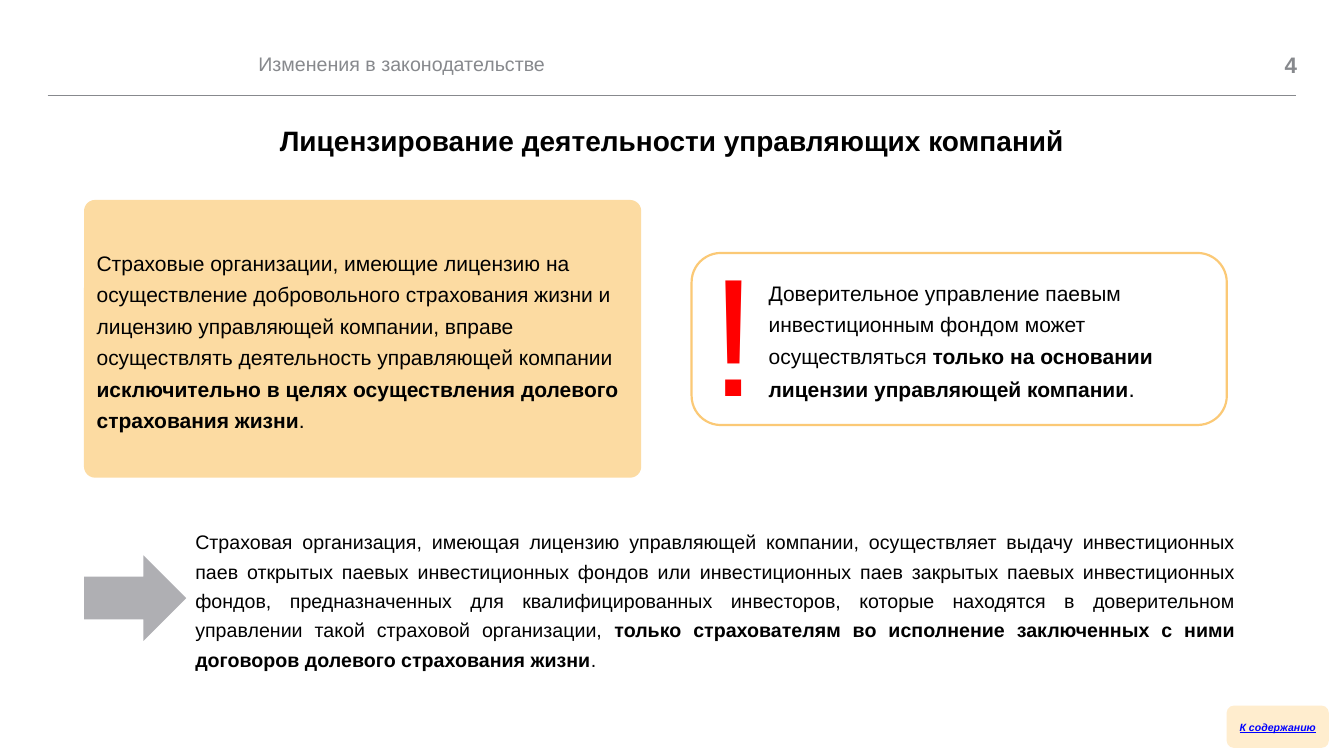
"""Build a slide on the licensing of management companies."""
import pptx
import pptx.util
import pptx.dml.color
import pptx.enum.shapes
import pptx.enum.text
import pptx.oxml.ns
import lxml.etree

Pt = pptx.util.Pt
ALIGN = pptx.enum.text.PP_ALIGN
ANCHOR = pptx.enum.text.MSO_ANCHOR
SHAPE = pptx.enum.shapes.MSO_SHAPE

COLORS = {
    "black": "000000", "gray": "87898D", "link": "0000FF", "red": "FF0000",
    "sand": "FCDBA2", "cream": "FFEDCE", "amber": "FBC976", "silver": "AFAFB3",
}
BOLD = {"bold": True}

TITLE = {
    "box": (190, 87.8, 580, 27),
    "runs": [("Лицензирование деятельности управляющих компаний", {})],
    "font": {"size": Pt(20), "bold": True},
    "paragraph": {"alignment": ALIGN.CENTER, "space_before": Pt(1)},
}
TEXTS = [
    {"box": (184.5, 36.7, 230, 19), "color": "gray",
     "runs": [("Изменения в законодательстве", {})],
     "font": {"size": Pt(14)}, "paragraph": {"space_before": Pt(1)}},
    {"box": (906, 36, 20.5, 21), "color": "gray",
     "runs": [("4", {})],
     "font": {"size": Pt(16), "bold": True},
     "paragraph": {"alignment": ALIGN.RIGHT, "space_before": Pt(1)}},
    {"box": (69, 173.5, 378, 132),
     "runs": [
         ("Страховые организации, имеющие лицензию на осуществление добровольного "
          "страхования жизни и лицензию управляющей компании, вправе осуществлять "
          "деятельность управляющей компании ", {}),
         ("исключительно в целях осуществления долевого страхования жизни", BOLD),
         (".", {})],
     "font": {"size": Pt(15)},
     "paragraph": {"line_spacing": 1.25, "space_before": Pt(1)}},
    {"box": (549, 195, 281, 90),
     "runs": [
         ("Доверительное управление паевым инвестиционным фондом может "
          "осуществляться ", {}),
         ("только на основании лицензии управляющей компании", BOLD),
         (".", {"size": Pt(16)})],
     "font": {"size": Pt(15)},
     "paragraph": {"line_spacing": 1.25, "space_before": Pt(1)}},
    {"box": (507.6, 162.7, 40, 146), "color": "red",
     "runs": [("!", {})],
     "font": {"size": Pt(120)}, "paragraph": {"space_before": Pt(1)}},
    {"box": (139.5, 373.7, 743, 103),
     "runs": [
         ("Страховая организация, имеющая лицензию управляющей компании, осуществляет "
          "выдачу инвестиционных паев открытых паевых инвестиционных фондов или "
          "инвестиционных паев закрытых паевых инвестиционных фондов, предназначенных "
          "для квалифицированных инвесторов, которые находятся в доверительном "
          "управлении такой страховой организации, ", {}),
         ("только страхователям во исполнение заключенных с ними договоров долевого "
          "страхования жизни", BOLD),
         (".", {})],
     "font": {"size": Pt(14)},
     "paragraph": {"alignment": ALIGN.JUSTIFY, "line_spacing": 1.25,
                   "space_before": Pt(1)}},
]
PANELS = [
    {"kind": SHAPE.ROUNDED_RECTANGLE, "box": (60, 142.8, 398, 198.4),
     "fill": "sand", "adjustments": [0.04]},
    {"kind": SHAPE.ROUNDED_RECTANGLE, "box": (494, 180.7, 382.3, 122.9),
     "line": "amber", "adjustments": [0.17]},
    {"kind": SHAPE.RIGHT_ARROW, "box": (60, 396.7, 73, 61),
     "fill": "silver", "adjustments": [0.5, 0.5]},
]
BUTTON = {"kind": SHAPE.ROUNDED_RECTANGLE, "box": (876.2, 504, 73, 30.2),
          "fill": "cream", "adjustments": [0.17]}
BUTTON_LABEL = {
    "color": "link", "anchor": ANCHOR.MIDDLE,
    "runs": [("К содержанию", {})],
    "font": {"size": Pt(7.5), "bold": True, "italic": True, "underline": True},
    "paragraph": {"alignment": ALIGN.CENTER},
}
RULE = (34, 926, 68.4)


def rgb(name):
    return pptx.dml.color.RGBColor.from_string(COLORS[name])


def set_attributes(target, values):
    for name, value in values.items():
        setattr(target, name, value)


def place(box):
    return [Pt(length) for length in box]


def write_text(shape, content):
    frame = shape.text_frame
    set_attributes(frame, {
        "word_wrap": True, "auto_size": pptx.enum.text.MSO_AUTO_SIZE.NONE,
        "vertical_anchor": content.get("anchor", ANCHOR.TOP),
        "margin_left": 0, "margin_right": 0, "margin_top": Pt(0.7), "margin_bottom": 0,
    })
    paragraph = frame.paragraphs[0]
    set_attributes(paragraph, {"alignment": ALIGN.LEFT, **content["paragraph"]})
    for text, changes in content["runs"]:
        run = paragraph.add_run()
        run.text = text
        set_attributes(run.font, {"name": "Arial", "bold": False,
                                  **content["font"], **changes})
        run.font.color.rgb = rgb(content.get("color", "black"))


def add_panel(slide, panel):
    shape = slide.shapes.add_shape(panel["kind"], *place(panel["box"]))
    shape.shadow.inherit = False
    for index, value in enumerate(panel["adjustments"]):
        shape.adjustments[index] = value
    if "fill" in panel:
        shape.fill.solid()
        shape.fill.fore_color.rgb = rgb(panel["fill"])
    else:
        shape.fill.background()
    if "line" in panel:
        shape.line.color.rgb = rgb(panel["line"])
        shape.line.width = Pt(1.56)
    else:
        shape.line.fill.background()
    return shape


def add_rule(slide):
    left, right, top = RULE
    rule = slide.shapes.add_connector(
        pptx.enum.shapes.MSO_CONNECTOR.STRAIGHT, *place((left, top, right, top)))
    rule.line.color.rgb = rgb("gray")
    rule.line.width = Pt(0.48)
    lxml.etree.SubElement(rule._element.spPr, pptx.oxml.ns.qn("a:effectLst"))


def main():
    presentation = pptx.Presentation()
    set_attributes(presentation, {"slide_width": Pt(960), "slide_height": Pt(540)})
    slide = presentation.slides.add_slide(presentation.slide_layouts[5])
    title = slide.shapes.title
    set_attributes(title, dict(zip(("left", "top", "width", "height"),
                                   place(TITLE["box"]))))
    write_text(title, TITLE)
    add_rule(slide)
    for panel in PANELS:
        add_panel(slide, panel)
    write_text(add_panel(slide, BUTTON), BUTTON_LABEL)
    for content in TEXTS:
        write_text(slide.shapes.add_textbox(*place(content["box"])), content)
    presentation.save("out.pptx")


if __name__ == "__main__":
    main()
